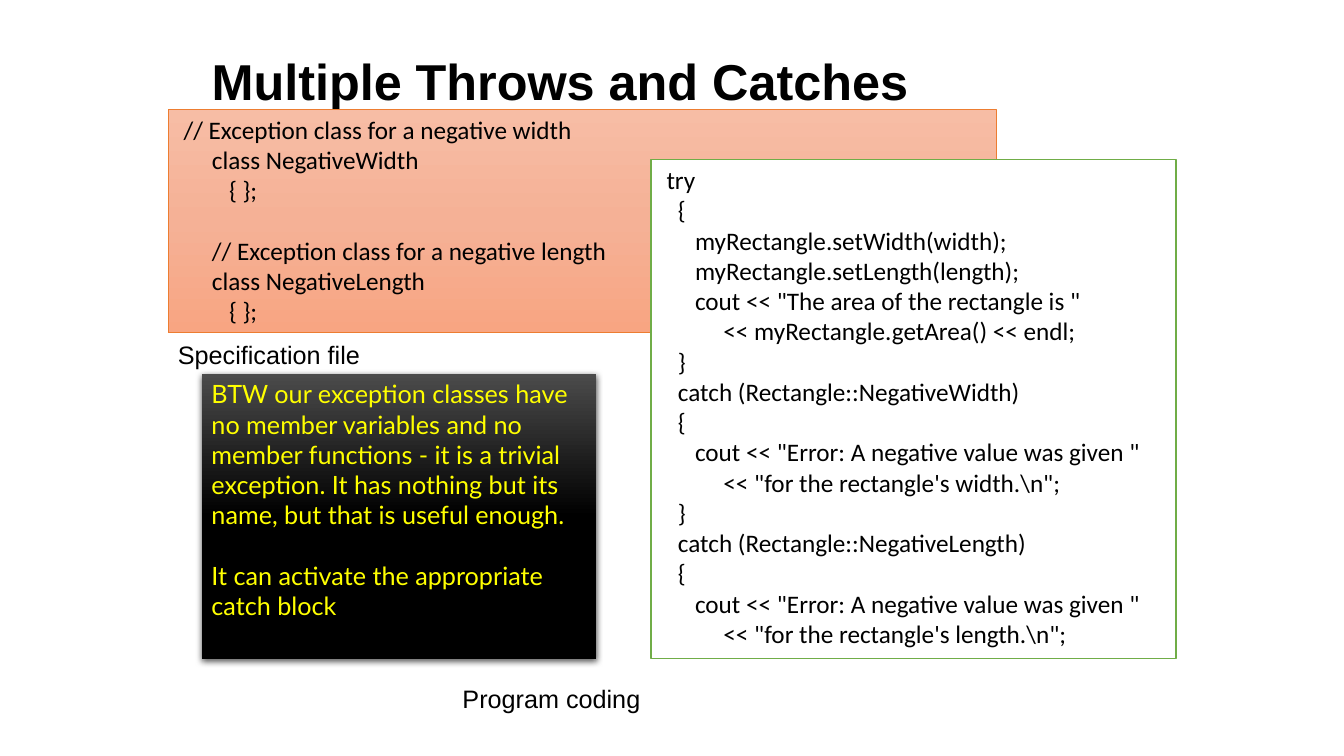
"""Build the slide on multiple throws and catches."""
from copy import deepcopy

from lxml import etree
from pptx import Presentation
from pptx.dml.color import RGBColor
from pptx.enum.shapes import MSO_SHAPE
from pptx.enum.text import MSO_ANCHOR, PP_ALIGN
from pptx.oxml.ns import qn
from pptx.util import Emu, Pt

EMU_PER_PX = 9525
RECTANGLE = MSO_SHAPE.RECTANGLE
TOP, MIDDLE = MSO_ANCHOR.TOP, MSO_ANCHOR.MIDDLE
LEFT = PP_ALIGN.LEFT

BLACK = RGBColor(0x00, 0x00, 0x00)
WHITE = RGBColor(0xFF, 0xFF, 0xFF)
YELLOW = RGBColor(0xFF, 0xFF, 0x00)
ORANGE = RGBColor(0xED, 0x7D, 0x31)
GREEN = RGBColor(0x70, 0xAD, 0x47)
PEACH_SHADES = (RGBColor(0xF7, 0xBD, 0xA5), RGBColor(0xF5, 0xB1, 0x96),
                RGBColor(0xF8, 0xA5, 0x82))
DARK_SHADES = (RGBColor(0x4B, 0x4B, 0x4B), BLACK, BLACK)

EXCEPTION_CLASSES = """\
 // Exception class for a negative width
      class NegativeWidth
         { };

      // Exception class for a negative length
      class NegativeLength
         { };"""

TRY_AND_CATCH = r""" try
   {
      myRectangle.setWidth(width);
      myRectangle.setLength(length);
      cout << "The area of the rectangle is "
           << myRectangle.getArea() << endl;
   }
   catch (Rectangle::NegativeWidth)
   {
      cout << "Error: A negative value was given "
           << "for the rectangle's width.\n";
   }
   catch (Rectangle::NegativeLength)
   {
      cout << "Error: A negative value was given "
           << "for the rectangle's length.\n";"""

NOTE = """\
BTW our exception classes have no member variables and no member functions \
- it is a trivial exception. It has nothing but its name, but that is useful enough.

It can activate the appropriate catch block"""


def px(*lengths):
    """Turn pixel lengths into EMU."""
    return [Emu(length * EMU_PER_PX) for length in lengths]


def write_text(frame, text, font="Arial", size=18, color=BLACK, bold=False,
               anchor=TOP, wrap=True):
    """Write one paragraph per line, with an empty line becoming space before."""
    frame.word_wrap = wrap
    frame.vertical_anchor = anchor
    gap = 0
    paragraph = frame.paragraphs[0]
    for index, line in enumerate(text.split("\n")):
        if not line:
            gap = size * 1.2
            continue
        if index:
            paragraph = frame.add_paragraph()
        paragraph.alignment = LEFT
        paragraph.space_before = Pt(gap)
        gap = 0
        span = paragraph.add_run()
        span.text = line
        span.font.name = font
        span.font.size = Pt(size)
        span.font.bold = bold
        span.font.color.rgb = color


def fill_gradient(shape, shades):
    """Fill a shape downwards with three evenly spaced shades."""
    shape.fill.gradient()
    shape.fill.gradient_angle = 270
    stop_list = shape.fill.gradient_stops
    first = next(shape._element.spPr.iter(qn("a:gs")))
    first.addnext(deepcopy(first))
    stop_list = shape.fill.gradient_stops
    for index, shade in enumerate(shades):
        stop_list[index].position = index / 2
        stop_list[index].color.rgb = shade


def add_shadow(shape):
    """Cast a soft black shadow below a shape."""
    effects = shape._element.spPr.find(qn("a:effectLst"))
    shadow = etree.SubElement(effects, qn("a:outerShdw"), blurRad=str(Pt(4.5)),
                              dist=str(Pt(1.5)), dir="5400000", rotWithShape="0")
    color = etree.SubElement(shadow, qn("a:srgbClr"), val=str(BLACK))
    etree.SubElement(color, qn("a:alpha"), val="63000")


def add_panel(page, place, text, shades, outline=None, outline_width=1, **text_format):
    """Add a rectangle of text with a plain or gradient fill."""
    panel = page.shapes.add_shape(RECTANGLE, *px(*place))
    if len(shades) == 1:
        panel.fill.solid()
        panel.fill.fore_color.rgb = shades[0]
    else:
        fill_gradient(panel, shades)
    if outline is None:
        panel.line.fill.background()
    else:
        panel.line.color.rgb = outline
        panel.line.width = Pt(outline_width)
    panel.shadow.inherit = False
    write_text(panel.text_frame, text, **text_format)
    return panel


def add_label(page, place, text):
    """Add a one-line caption."""
    box = page.shapes.add_textbox(*px(*place))
    write_text(box.text_frame, text, wrap=False)


def set_title(page, place, text):
    """Place and format the title."""
    title = page.shapes.title
    title.left, title.top, title.width, title.height = px(*place)
    write_text(title.text_frame, text, size=36, bold=True, anchor=MIDDLE)


def main():
    """Build and save the deck."""
    deck = Presentation()
    deck.slide_width, deck.slide_height = px(1280, 720)
    page = deck.slides.add_slide(deck.slide_layouts[5])
    set_title(page, (192, 24, 813, 105), "Multiple Throws and Catches")
    add_panel(page, (160, 104, 789, 213), EXCEPTION_CLASSES, PEACH_SHADES,
              outline=ORANGE, outline_width=0.5, font="Calibri")
    add_panel(page, (620, 152, 500, 475), TRY_AND_CATCH, (WHITE,),
              outline=GREEN, font="Calibri")
    add_label(page, (160, 318, 195, 38), "Specification file")
    add_label(page, (431, 646, 190, 38), "Program coding")
    note = add_panel(page, (192, 356, 376, 272), NOTE, DARK_SHADES,
                     font="Lato", color=YELLOW)
    add_shadow(note)
    deck.save("out.pptx")


if __name__ == "__main__":
    main()
